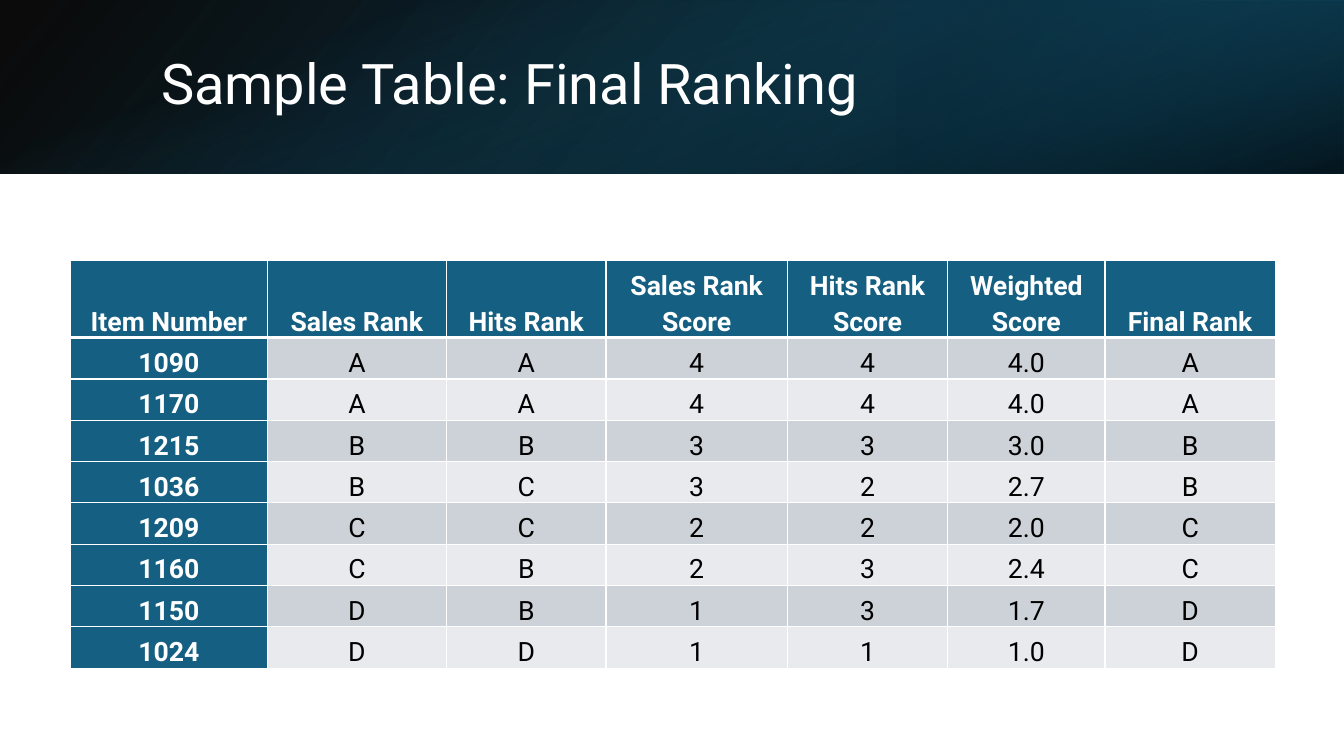
from dataclasses import dataclass

from lxml import etree
from pptx import Presentation, util as u
from pptx.dml.color import RGBColor
from pptx.enum import shapes, text
from pptx.oxml import ns


@dataclass(frozen=True)
class Theme:
    font: str = "Roboto"
    title_size: int = 40
    cell_size: int = 19
    white: str = "FFFFFF"
    black: str = "000000"
    teal: str = "156082"
    deep_teal: str = "104862"
    night_teal: str = "0B3041"
    bands: tuple = ("CCD2D8", "E8EAED")


THEME = Theme()

COLUMN_WIDTHS = [1.95, 1.78, 1.58, 1.8, 1.59, 1.56, 1.69]
HEADER_HEIGHT, ROW_HEIGHT = 0.77, 0.41
RANKING = [
    ["Item Number", "Sales Rank", "Hits Rank", "Sales Rank Score",
     "Hits Rank Score", "Weighted Score", "Final Rank"],
    ["1090", "A", "A", "4", "4", "4.0", "A"],
    ["1170", "A", "A", "4", "4", "4.0", "A"],
    ["1215", "B", "B", "3", "3", "3.0", "B"],
    ["1036", "B", "C", "3", "2", "2.7", "B"],
    ["1209", "C", "C", "2", "2", "2.0", "C"],
    ["1160", "C", "B", "2", "3", "2.4", "C"],
    ["1150", "D", "B", "1", "3", "1.7", "D"],
    ["1024", "D", "D", "1", "1", "1.0", "D"],
]


def add_node(parent, tag, **attributes):
    node = etree.SubElement(parent, ns.qn(tag))
    for name, value in attributes.items():
        node.set(name, str(value))
    return node


def add_gradient_panel(page, bounds, stops, angle, rotation=0, flipped=False):
    """Stops are (position %, colour, opacity %)."""
    panel = page.shapes.add_shape(shapes.MSO_SHAPE.RECTANGLE, *map(u.Inches, bounds))
    panel.shadow.inherit = False
    panel.line.fill.background()
    panel.rotation = rotation
    properties = panel._element.spPr
    if flipped:
        properties.xfrm.set("flipH", "1")

    gradient = etree.Element(ns.qn("a:gradFill"), rotWithShape="1")
    stop_list = add_node(gradient, "a:gsLst")
    for position, colour, opacity in stops:
        stop = add_node(stop_list, "a:gs", pos=position * 1000)
        shade = add_node(stop, "a:srgbClr", val=colour)
        add_node(shade, "a:alpha", val=opacity * 1000)
    add_node(gradient, "a:lin", ang=angle * 60000, scaled=0)
    properties.find(ns.qn("a:prstGeom")).addnext(gradient)


def add_span(para, words, size, colour, bold=False):
    span = para.add_run()
    span.text = words
    span.font.name = THEME.font
    span.font.size = u.Pt(size)
    span.font.bold = bold
    span.font.color.rgb = RGBColor.from_string(colour)


def add_title(page, words):
    box = page.shapes.add_textbox(*map(u.Inches, (1.5, 0.38, 10.98, 0.96)))
    frame = box.text_frame
    frame.word_wrap = True
    frame.vertical_anchor = text.MSO_ANCHOR.MIDDLE
    para = frame.paragraphs[0]
    para.line_spacing = 0.9
    add_span(para, words, THEME.title_size, THEME.white)


def set_borders(cell, top, bottom):
    properties = cell._tc.get_or_add_tcPr()
    widths = {"a:lnL": 1, "a:lnR": 1, "a:lnT": top, "a:lnB": bottom}
    for tag, width in widths.items():
        border = add_node(properties, tag, w=u.Pt(width))
        add_node(add_node(border, "a:solidFill"), "a:srgbClr", val=THEME.white)


def fill_cell(cell, words, row, column):
    heading = row == 0 or column == 0
    # Borders come first: the schema puts them ahead of the fill
    set_borders(cell, top=3 if row == 1 else 1, bottom=3 if row == 0 else 1)
    cell.fill.solid()
    fill = THEME.teal if heading else THEME.bands[(row - 1) % 2]
    cell.fill.fore_color.rgb = RGBColor.from_string(fill)

    cell.vertical_anchor = text.MSO_ANCHOR.BOTTOM
    cell.margin_left = cell.margin_right = u.Inches(0.13)
    cell.margin_top = cell.margin_bottom = 0
    para = cell.text_frame.paragraphs[0]
    para.alignment = text.PP_ALIGN.CENTER
    para.line_spacing = 1.15
    para.space_after = u.Pt(8)
    colour = THEME.white if heading else THEME.black
    add_span(para, words, THEME.cell_size, colour, heading)


def add_ranking_table(page, rows):
    height = HEADER_HEIGHT + ROW_HEIGHT * (len(rows) - 1)
    bounds = (0.7, 2.58, sum(COLUMN_WIDTHS), height)
    table = page.shapes.add_table(
        len(rows), len(COLUMN_WIDTHS), *map(u.Inches, bounds)).table
    table.first_col = True
    for column, width in zip(table.columns, COLUMN_WIDTHS):
        column.width = u.Inches(width)
    for r, values in enumerate(rows):
        table.rows[r].height = u.Inches(ROW_HEIGHT if r else HEADER_HEIGHT)
        for c, value in enumerate(values):
            fill_cell(table.cell(r, c), value, r, c)


def main():
    deck = Presentation()
    deck.slide_width, deck.slide_height = u.Inches(13.33), u.Inches(7.5)
    page = deck.slides.add_slide(deck.slide_layouts[6])

    # Header band: three layered gradients
    add_gradient_panel(page, (0, 0, 13.33, 1.72),
                       [(0, THEME.black, 96), (100, THEME.deep_teal, 100)],
                       140, flipped=True)
    add_gradient_panel(page, (8.89, 0, 4.44, 1.72),
                       [(19, THEME.night_teal, 68), (100, THEME.teal, 79)],
                       320, rotation=180, flipped=True)
    add_gradient_panel(page, (5.8, -5.8, 1.72, 13.33),
                       [(23, THEME.teal, 0), (99, THEME.black, 74)],
                       340, rotation=90)
    add_title(page, "Sample Table: Final Ranking")

    # Ranking table
    add_ranking_table(page, RANKING)

    deck.save("out.pptx")


if __name__ == "__main__":
    main()
